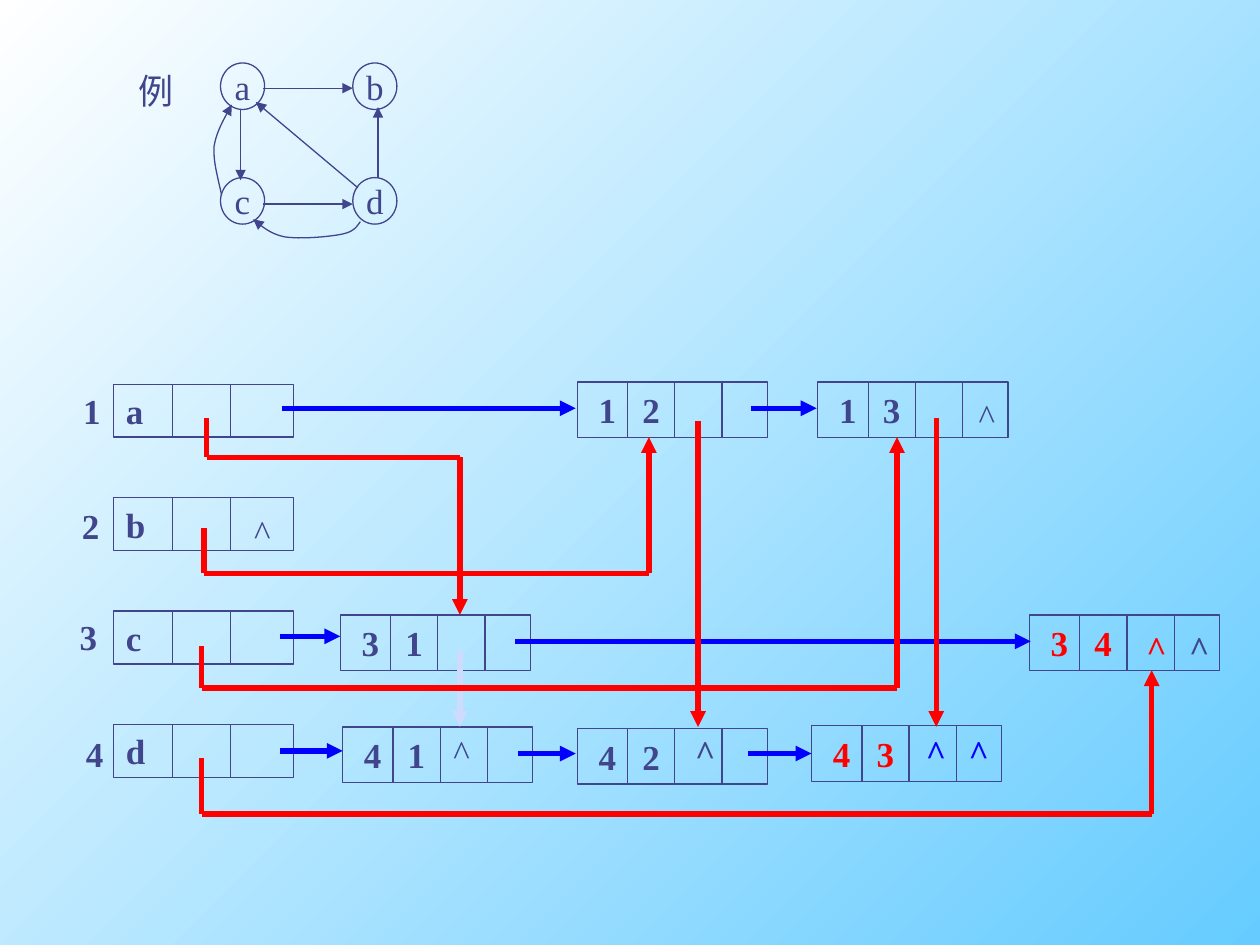
import itertools

import pptx
import pptx.dml.color
import pptx.enum.shapes
import pptx.enum.text
import pptx.oxml
import pptx.oxml.ns
import pptx.util

Pt = pptx.util.Pt
SHAPES = pptx.enum.shapes.MSO_SHAPE
ALIGN = pptx.enum.text.PP_ALIGN
ANCHOR = pptx.enum.text.MSO_ANCHOR
FONT = "Times New Roman"
COLOURS = {"ink": "40458C", "blue": "0000FF", "red": "FF0000",
           "pale": "CFDBFD", "sky": "66CCFF", "white": "FFFFFF"}
NODE_SIZE = (25.2, 26.6)
HEAD_SIZE = (103, 30.2)
RECORD_SIZE = (108.7, 31.9)
LABEL_SIZE = (24.5, 31.7)


def colour(name):
    """Return the named colour as an RGB value."""
    return pptx.dml.color.RGBColor.from_string(COLOURS[name])


def add_xml(parent, tag, **attributes):
    """Append an empty drawing element to a parent element."""
    element = pptx.oxml.parse_xml(f"<a:{tag} {pptx.oxml.ns.nsdecls('a')}/>")
    for name, value in attributes.items():
        element.set(name, str(value))
    parent.append(element)
    return element


def style_line(line, name, width, arrow):
    """Colour a line and give it an optional arrowhead."""
    line.color.rgb = colour(name)
    line.width = Pt(width)
    if arrow:
        add_xml(line._get_or_add_ln(), "tailEnd", type="triangle")


def write(box, text, name="ink", bold=True, align=ALIGN.LEFT,
          anchor=ANCHOR.MIDDLE):
    """Write one line of text in a box."""
    frame = box.text_frame
    frame.word_wrap = False
    frame.vertical_anchor = anchor
    para = frame.paragraphs[0]
    para.alignment = align
    span = para.add_run()
    span.text = text
    span.font.name = FONT
    span.font.size = Pt(20)
    span.font.bold = bold
    span.font.color.rgb = colour(name)


def add_outline(page, kind, left, top, size):
    """Add an unfilled shape with a thin line."""
    box = page.shapes.add_shape(kind, Pt(left), Pt(top), *map(Pt, size))
    box.shadow.inherit = False
    box.fill.background()
    style_line(box.line, "ink", 0.75, False)
    return box


def add_label(page, left, top, text, size=LABEL_SIZE, **style):
    """Add a free-standing label."""
    box = page.shapes.add_textbox(Pt(left), Pt(top), *map(Pt, size))
    write(box, text, **style)


def add_line(page, start, end, name="ink", width=0.75, arrow=False):
    """Add a straight line between two points."""
    line = page.shapes.add_connector(
        pptx.enum.shapes.MSO_CONNECTOR.STRAIGHT, *map(Pt, (*start, *end)))
    add_xml_parent = line._element.spPr
    style_line(line.line, name, width, arrow)
    add_xml(add_xml_parent, "effectLst")


def add_route(page, points, name):
    """Join points with thick lines that end in an arrowhead."""
    for index, (start, end) in enumerate(itertools.pairwise(points), 2):
        add_line(page, start, end, name, 3, index == len(points))


def add_curve(page, points, steps=12):
    """Draw chained cubic curves that end in an arrowhead."""
    trace = []
    for first in range(0, len(points) - 1, 3):
        for step in range(1, steps + 1):
            t = step / steps
            weights = ((1 - t) ** 3, 3 * t * (1 - t) ** 2,
                       3 * t * t * (1 - t), t ** 3)
            controls = points[first:first + 4]
            trace.append(tuple(
                Pt(sum(w * point[axis] for w, point in zip(weights, controls)))
                for axis in (0, 1)))
    builder = page.shapes.build_freeform(*map(Pt, points[0]))
    builder.add_line_segments(trace, close=False)
    curve = builder.convert_to_shape()
    curve.shadow.inherit = False
    curve.fill.background()
    style_line(curve.line, "ink", 0.75, True)


def shift(points, left, top):
    """Move points by the corner of a region."""
    return [(left + x, top + y) for x, y in points]


def add_graph(page, left, top):
    """Draw the directed graph and its caption."""
    add_label(page, left - 54, top, "例", (34.6, 31.7), bold=False,
              align=ALIGN.CENTER)
    for index, text in enumerate("abcd"):
        row, column = divmod(index, 2)
        node = add_outline(page, SHAPES.OVAL, left + 75.6 * column,
                           top + 65.5 * row, NODE_SIZE)
        write(node, text, bold=False, align=ALIGN.CENTER)
    edges = [((24.5, 14.4), (75.6, 14.4)), ((24.5, 80.6), (75.6, 80.6)),
             ((11.5, 26.6), (11.5, 67)), ((78.5, 71.3), (20.2, 22.3)),
             ((90, 65.5), (90, 25.2))]
    for edge in edges:
        add_line(page, *shift(edge, left, top), arrow=True)
    curves = [
        [(79.9, 90.7), (77.8, 93.6), (76.3, 96.5), (69.1, 97.9), (61.9, 99.4),
         (45.4, 100.8), (36.7, 99.4), (28.8, 97.9), (23.8, 93.6), (18.7, 89.3)],
        [(0.7, 75.6), (-1.4, 65.5), (-4.3, 56.2), (-3.6, 47.5),
         (-2.2, 38.9), (2.2, 31.7), (6.5, 23.8)]]
    for curve in curves:
        add_curve(page, shift(curve, left, top))


def add_cells(page, left, top, size, dividers):
    """Draw a rectangle split by upright dividers."""
    box = add_outline(page, SHAPES.RECTANGLE, left, top, size)
    for offset in dividers:
        x = left + offset
        add_line(page, (x, top), (x, top + size[1]))
    return box


def add_heads(page, left, top):
    """Draw the numbered column of vertex heads."""
    corners = [(4.3, 2.9), (3.6, 68.4), (2.2, 131.8), (5.8, 198.7)]
    for index, (text, corner) in enumerate(zip("abcd", corners)):
        head = add_cells(page, left + 28.8, top + 3.6 + 64.8 * index,
                         HEAD_SIZE, (33.8, 67))
        write(head, text)
        add_label(page, left + corner[0], top + corner[1], str(index + 1),
                  align=ALIGN.CENTER)


def add_record(page, left, top, tail, head, name):
    """Draw one arc record with its tail and head numbers."""
    box = add_cells(page, left, top, RECORD_SIZE, (28.8, 55.8, 82.8))
    para = box.text_frame.paragraphs[0]
    tabs = add_xml(para._p.get_or_add_pPr(), "tabLst")
    add_xml(tabs, "tab", pos=Pt(25), algn="l")
    write(box, f"{tail}\t{head}", name)
    box.text_frame.word_wrap = True
    box.text_frame.margin_left = Pt(12.2)


def add_lists(page, left, top):
    """Draw the orthogonal list: heads, records, links and empty marks."""
    add_heads(page, left, top)
    records = [(431.3, 2.2, 1, 3, "ink"), (293.8, 2.2, 1, 2, "ink"),
               (552.2, 135.4, 3, 4, "red"), (158.4, 135.4, 3, 1, "ink"),
               (427.7, 198.7, 4, 3, "red"), (293.8, 200.2, 4, 2, "ink"),
               (159.8, 199.4, 4, 1, "ink")]
    for x, y, *content in records:
        add_record(page, left + x, top + y, *content)
    row_links = [(125.3, 293, 17.3), (123.8, 158.4, 147.6),
                 (258.5, 553, 150.5), (393.1, 430.6, 17.3),
                 (123.8, 159.8, 213.1), (259.9, 293, 214.6),
                 (391.7, 427.7, 214.6)]
    for start, end, y in row_links:
        add_route(page, shift([(start, y), (end, y)], left, top), "blue")
    add_route(page, shift([(226.8, 156.2), (226.8, 199.4)], left, top), "pale")
    column_links = [(82.1, 23, 45.4, 226.8, 135.4),
                    (80.6, 85.7, 111.6, 334.8, 33.8),
                    (79.2, 153.4, 177.1, 476.6, 33.8),
                    (79.2, 217.4, 249.1, 622.1, 167)]
    for x, y, turn, end_x, end_y in column_links:
        route = [(x, y), (x, turn), (end_x, turn), (end_x, end_y)]
        add_route(page, shift(route, left, top), "red")
    for x, y in ((362.9, 24.5), (499, 23)):
        add_route(page, shift([(x, y), (x, 199.4)], left, top), "red")
    marks = [(516.2, 5.8, "ink", False), (102.2, 72, "ink", False),
             (636.5, 138.2, "ink", True), (510.5, 198, "blue", True),
             (216, 198, "ink", False), (354.2, 198, "ink", True),
             (486, 198, "blue", True), (612, 138.2, "red", True)]
    for x, y, name, bold in marks:
        add_label(page, left + x, top + y, "^", name=name, bold=bold,
                  anchor=ANCHOR.TOP)


def main():
    """Build the slide and save the deck."""
    deck = pptx.Presentation()
    deck.slide_width, deck.slide_height = Pt(720), Pt(540)
    page = deck.slides.add_slide(deck.slide_layouts[6])
    fill = page.background.fill
    fill.gradient()
    fill.gradient_angle = 135
    for stop, name, place in zip(fill.gradient_stops, ("sky", "white"), (0, 1)):
        stop.color.rgb = colour(name)
        stop.position = place
    add_graph(page, 126, 36)
    add_lists(page, 36, 216)
    deck.save("out.pptx")


if __name__ == "__main__":
    main()
